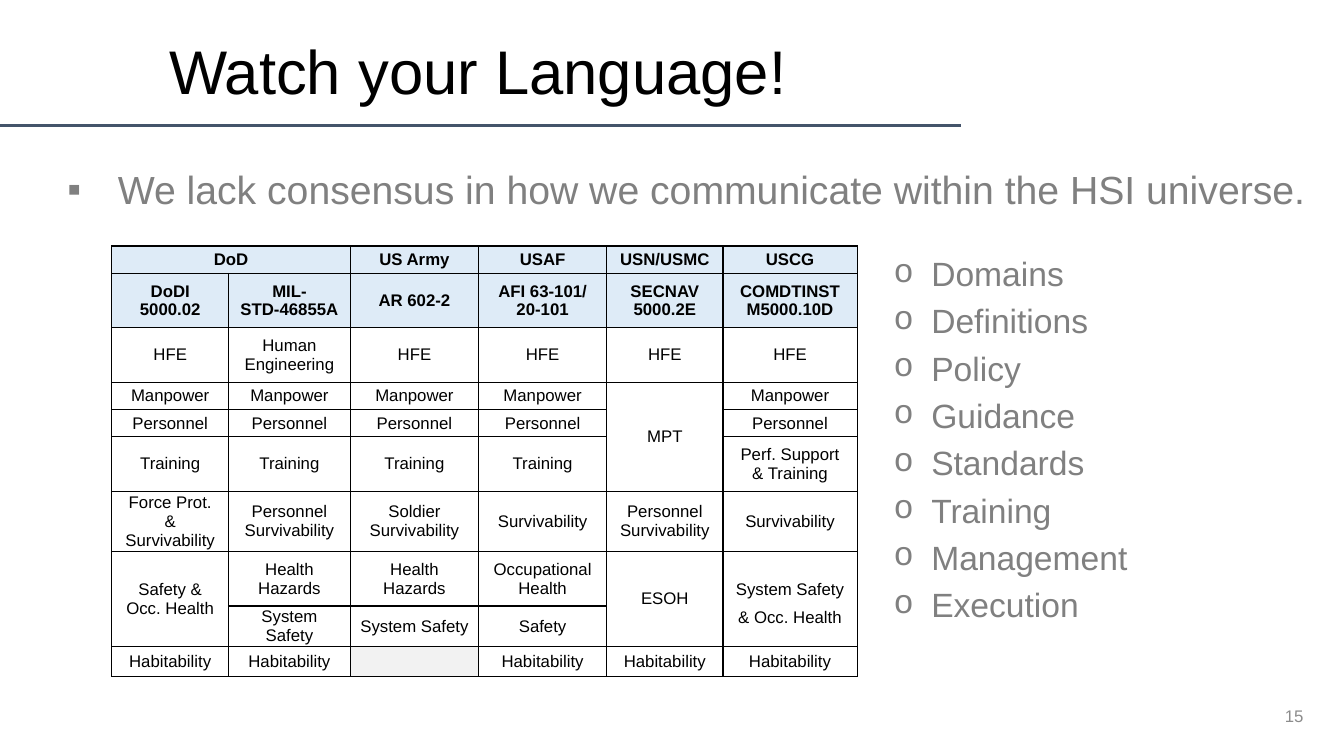
from lxml.etree import SubElement
from pptx import Presentation
from pptx.dml.color import RGBColor
from pptx.enum.shapes import MSO_CONNECTOR as Connector
from pptx.enum.text import MSO_ANCHOR as Anchor, PP_ALIGN as Align
from pptx.oxml.ns import qn
from pptx.util import Cm, Pt

TITLE = "Watch your Language!"
MESSAGE = "We lack consensus in how we communicate within the HSI universe."
PAGE = "15"
TOPICS = ["Domains", "Definitions", "Policy", "Guidance",
          "Standards", "Training", "Management", "Execution"]
DOMAINS = [
    ["DoD", "", "US Army", "USAF", "USN/USMC", "USCG"],
    ["DoDI 5000.02", "MIL-STD-46855A", "AR 602-2", "AFI 63-101/\v20-101",
     "SECNAV 5000.2E", "COMDTINST M5000.10D"],
    ["HFE", "Human Engineering", "HFE", "HFE", "HFE", "HFE"],
    ["Manpower", "Manpower", "Manpower", "Manpower", "MPT", "Manpower"],
    ["Personnel", "Personnel", "Personnel", "Personnel", "", "Personnel"],
    ["Training", "Training", "Training", "Training", "", "Perf. Support & Training"],
    ["Force Prot. & Survivability", "Personnel Survivability", "Soldier Survivability",
     "Survivability", "Personnel Survivability", "Survivability"],
    ["Safety & Occ. Health", "Health Hazards", "Health Hazards",
     "Occupational Health", "ESOH", "System Safety & Occ. Health"],
    ["", "System Safety", "System Safety", "Safety", "", ""],
    ["Habitability", "Habitability", "", "Habitability", "Habitability", "Habitability"],
]
MERGES = [((0, 0), (0, 1)), ((3, 4), (5, 4)), ((7, 0), (8, 0)),
          ((7, 4), (8, 4)), ((7, 5), (8, 5))]
HEADER_ROWS = 2
EMPTY_CELL = (9, 2)
LOOSE_CELL = (7, 5)
COLUMN_WIDTHS = [2.94, 3.07, 3.23, 3.23, 2.93, 3.38]
SINGLE, DOUBLE = 0.69, 1.37
ROW_HEIGHTS = [SINGLE, DOUBLE, DOUBLE, SINGLE, SINGLE,
               DOUBLE, DOUBLE, DOUBLE, SINGLE, SINGLE]

THEME = {
    "font": "Arial",
    "ink": "000000", "grey": "808080", "page": "8C8C8C", "rule": "44546A",
    "header": "DEEBF7", "empty": "F2F2F2",
    "title_pt": 44, "message_pt": 28, "topic_pt": 24, "small_pt": 12,
}


def color(name):
    return RGBColor.from_string(THEME[name])


def write(p, text, size, ink, bold=False, **formats):
    for name, value in formats.items():
        setattr(p, name, value)
    for i, line in enumerate(text.split("\v")):
        if i:
            p.add_line_break()
        r = p.add_run()
        r.text = line
        for name, value in {"name": THEME["font"], "size": Pt(THEME[size]),
                            "bold": bold}.items():
            setattr(r.font, name, value)
        r.font.color.rgb = color(ink)


def add_box(s, left, top, width, height, anchor=Anchor.TOP):
    tf = s.shapes.add_textbox(Cm(left), Cm(top), Cm(width), Cm(height)).text_frame
    tf.word_wrap = True
    tf.vertical_anchor = anchor
    return tf


def add_bullet(p, char, font, margin, hang):
    pPr = p._p.get_or_add_pPr()
    pPr.set("marL", str(Cm(margin)))
    pPr.set("indent", str(-Cm(hang)))
    SubElement(pPr, qn("a:buFont"), typeface=font)
    SubElement(pPr, qn("a:buChar"), char=char)


def add_borders(cell):
    tcPr = cell._tc.get_or_add_tcPr()
    for side in ("lnL", "lnR", "lnT", "lnB"):
        ln = SubElement(tcPr, qn(f"a:{side}"), w=str(Pt(1)))
        fill = SubElement(ln, qn("a:solidFill"))
        SubElement(fill, qn("a:srgbClr"), val=THEME["ink"])


def add_rule(s):
    rule = s.shapes.add_connector(Connector.STRAIGHT, 0, Cm(3.17), Cm(24.23), Cm(3.17))
    rule.line.color.rgb = color("rule")
    rule.line.width = Pt(2.25)
    SubElement(rule._element.spPr, qn("a:effectLst"))


def fill_cell(cell, text, place):
    for side, value in {"left": 0.25, "right": 0.25, "top": 0, "bottom": 0}.items():
        setattr(cell, f"margin_{side}", Cm(value))
    cell.vertical_anchor = Anchor.MIDDLE
    add_borders(cell)
    is_header = place[0] < HEADER_ROWS
    if is_header or place == EMPTY_CELL:
        cell.fill.solid()
        cell.fill.fore_color.rgb = color("header" if is_header else "empty")
    else:
        cell.fill.background()
    spacing = {"line_spacing": 1.5} if place == LOOSE_CELL else {}
    write(cell.text_frame.paragraphs[0], text, "small_pt", "ink", is_header,
          alignment=Align.CENTER, **spacing)


def add_domain_table(s):
    table = s.shapes.add_table(len(DOMAINS), len(COLUMN_WIDTHS), Cm(2.82), Cm(6.2),
                               Cm(sum(COLUMN_WIDTHS)), Cm(sum(ROW_HEIGHTS))).table
    table.first_row = table.horz_banding = False
    for column, width in zip(table.columns, COLUMN_WIDTHS):
        column.width = Cm(width)
    for row, height in zip(table.rows, ROW_HEIGHTS):
        row.height = Cm(height)
    for first, last in MERGES:
        table.cell(*first).merge(table.cell(*last))
    for i, texts in enumerate(DOMAINS):
        for j, text in enumerate(texts):
            fill_cell(table.cell(i, j), text, (i, j))


def add_topics(s):
    tf = add_box(s, 21, 6.25, 12.45, 9.7)
    for i, topic in enumerate(TOPICS):
        p = tf.add_paragraph() if i else tf.paragraphs[0]
        add_bullet(p, "o", "Courier New", 2.22, 0.95)
        write(p, topic, "topic_pt", "grey", space_before=Pt(5 if i else 0))


def main():
    prs = Presentation()
    prs.slide_width, prs.slide_height = Cm(33.87), Cm(19.05)
    s = prs.slides.add_slide(prs.slide_layouts[6])

    add_rule(s)
    title = add_box(s, 4.01, 0.66, 21.9, 2.44, Anchor.MIDDLE)
    write(title.paragraphs[0], TITLE, "title_pt", "ink", line_spacing=0.9)

    p = add_box(s, 1.45, 4.17, 32, 12.98).paragraphs[0]
    add_bullet(p, "▪", THEME["font"], 1.27, 1.27)
    write(p, MESSAGE, "message_pt", "grey", line_spacing=0.9)

    page = add_box(s, 31.93, 17.53, 1.17, 1.02, Anchor.MIDDLE)
    write(page.paragraphs[0], PAGE, "small_pt", "page", alignment=Align.RIGHT)

    add_domain_table(s)
    add_topics(s)
    prs.save("out.pptx")


if __name__ == "__main__":
    main()
